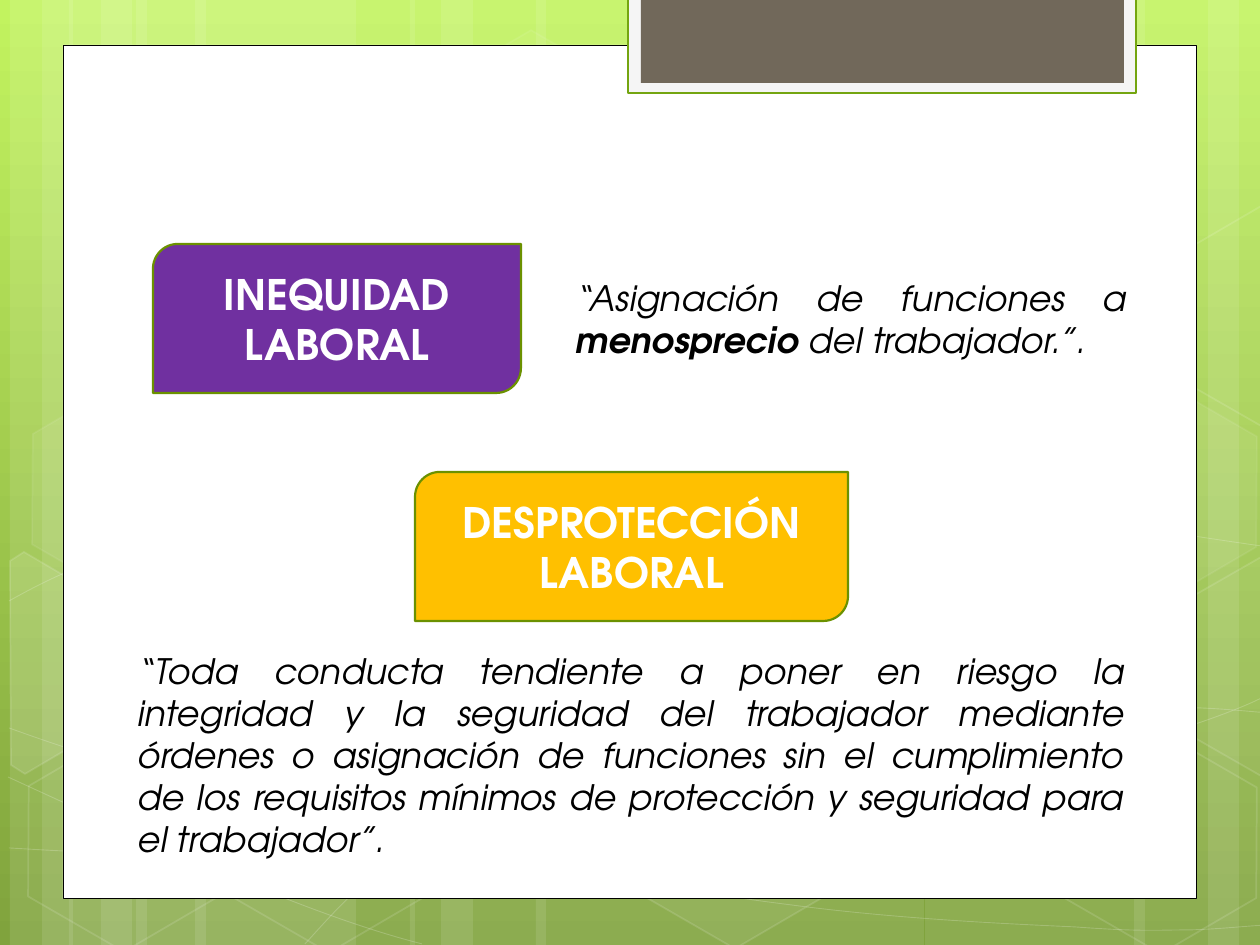
import pptx
import pptx.dml.color
import pptx.enum.shapes
import pptx.enum.text
import pptx.oxml.ns
import pptx.util
from lxml import etree

PX = 7257  # EMU in one px, at 126 px to the inch
FONT = "TeX Gyre Adventor"
SHAPE = pptx.enum.shapes.MSO_SHAPE
ALIGN = pptx.enum.text.PP_ALIGN
ANCHOR = pptx.enum.text.MSO_ANCHOR


def paint(shape, fill=None, line=None, width=1, fill_alpha=100, line_alpha=100):
    """Set fill and line from hex colours, with opacity in percent."""
    shape.shadow.inherit = False
    for target, colour in ((shape.fill, fill), (shape.line.fill, line)):
        if colour:
            target.solid()
            target.fore_color.rgb = pptx.dml.color.RGBColor.from_string(colour)
        else:
            target.background()
    if line:
        shape.line.width = pptx.util.Pt(width)
    properties = shape.element.spPr
    for route, alpha in (("a:solidFill/a:srgbClr", fill_alpha),
                         ("a:ln/a:solidFill/a:srgbClr", line_alpha)):
        if alpha < 100:
            for colour in properties.xpath(route):
                etree.SubElement(colour, pptx.oxml.ns.qn("a:alpha"), val=str(alpha * 1000))


def write(shape, *texts, size, colour, align, anchor=ANCHOR.TOP, italic=False, bold=()):
    """Write one paragraph; bold holds the positions of the bold runs."""
    frame = shape.text_frame
    frame.word_wrap = True
    frame.vertical_anchor = anchor
    paragraph = frame.paragraphs[0]
    paragraph.alignment = align
    for position, text in enumerate(texts):
        run = paragraph.add_run()
        run.text = text
        run.font.name = FONT
        run.font.size = pptx.util.Pt(size)
        run.font.italic = italic
        run.font.bold = position in bold
        run.font.color.rgb = pptx.dml.color.RGBColor.from_string(colour)


presentation = pptx.Presentation()
presentation.slide_width = pptx.util.Inches(10)
presentation.slide_height = pptx.util.Inches(7.5)
slide = presentation.slides.add_slide(presentation.slide_layouts[6])
shapes = slide.shapes

# Green gradient background, light at the top
background = slide.background.fill
background.gradient()
background.gradient_angle = 270
for stop, colour in zip(background.gradient_stops, ("C2F35F", "80A33D")):
    stop.color.rgb = pptx.dml.color.RGBColor.from_string(colour)

# Translucent vertical bands: left, width
bands = [(136, 220), (10, 63), (42, 105), (195, 220), (69, 63), (101, 105),
         (925, 220), (1208, 63), (1134, 105), (536, 388), (410, 63), (441, 105)]
for left, width in bands:
    band = shapes.add_shape(SHAPE.RECTANGLE, left * PX, 0, width * PX, 945 * PX)
    band.rotation = 180 if left > 900 else 0
    paint(band, "FFFFFF", fill_alpha=10)

# Thin curves: start point, then control, control, end for each Bezier piece
curves = [
    [(9, 848), (77, 852), (145, 856), (239, 854), (334, 853), (451, 851), (577, 838),
     (703, 825), (882, 801), (998, 777), (1113, 753), (1231, 716), (1269, 694)],
    [(9, 601), (45, 581), (82, 562), (152, 543), (224, 524), (326, 496), (437, 488),
     (549, 479), (685, 478), (824, 488), (963, 498), (1193, 537), (1269, 547)],
    [(8, 777), (160, 847), (311, 916), (422, 944)],
    [(9, 728), (48, 742), (88, 756), (161, 776), (234, 795), (344, 827), (450, 848),
     (554, 869), (687, 892), (791, 905), (896, 919), (1008, 924), (1075, 927),
     (1142, 932), (1158, 930), (1191, 930), (1223, 929), (1246, 926), (1269, 925)],
    [(305, 944), (328, 919), (350, 893), (381, 871), (411, 847), (454, 823), (489, 805),
     (524, 788), (546, 780), (591, 767), (638, 755), (722, 737), (766, 728),
     (811, 719), (818, 719), (857, 717), (896, 713), (958, 709), (1000, 708),
     (1045, 707), (1116, 708), (1116, 708), (1144, 708), (1173, 708), (1201, 708),
     (1223, 709), (1245, 711), (1256, 712), (1268, 713), (1264, 712), (1268, 713)],
]
for points in curves:
    builder = shapes.build_freeform(*points[0], scale=PX)
    builder.add_line_segments(points[1:], close=False)
    curve = builder.convert_to_shape()
    # Each three straight segments become one Bezier piece
    segments = curve.element.spPr.xpath(".//a:lnTo")
    for first in range(0, len(segments), 3):
        piece = etree.Element(pptx.oxml.ns.qn("a:cubicBezTo"))
        segments[first].addprevious(piece)
        for segment in segments[first:first + 3]:
            piece.append(segment[0])
            segment.getparent().remove(segment)
    paint(curve, line="FFFFFF", width=0.5, line_alpha=20)

# Whole hexagons: left, top, fill opacity (0 for none), line opacity
hexagons = [(421, 45, 4, 8), (625, 742, 6, 12), (14, 745, 0, 12), (18, 393, 7, 8),
            (219, 746, 0, 12), (949, 571, 10, 12), (1051, 747, 0, 12), (1051, 396, 7, 8)]
for left, top, fill_alpha, line_alpha in hexagons:
    hexagon = shapes.add_shape(SHAPE.HEXAGON, left * PX, top * PX, 220 * PX, 192 * PX)
    hexagon.adjustments[0] = 0.285
    hexagon.rotation = 30
    paint(hexagon, "FFFFFF" if fill_alpha else None, "FFFFFF",
          fill_alpha=fill_alpha, line_alpha=line_alpha)

# Hexagons cut by the slide edges: fill opacity, corners
cut_hexagons = [
    (10, [(10, 561), (24, 552), (121, 609), (120, 718), (25, 774), (11, 765)]),
    (4, [(1167, 611), (1263, 556), (1271, 562), (1271, 772), (1263, 777), (1167, 722)]),
    (0, [(1167, 261), (1263, 205), (1273, 212), (1271, 422), (1263, 427), (1167, 372)]),
]
for fill_alpha, corners in cut_hexagons:
    builder = shapes.build_freeform(*corners[0], scale=PX)
    builder.add_line_segments(corners[1:], close=True)
    paint(builder.convert_to_shape(), "FFFFFF" if fill_alpha else None, "FFFFFF",
          fill_alpha=fill_alpha, line_alpha=12)

# White page and the tab at its top
panels = [(63, 45, 1134, 854, "FFFFFF", "000000", 0.5),
          (628, -3, 508, 96, "F5F5F5", "74A510", 1.25),
          (641, -3, 483, 86, "71685A", None, 0)]
for left, top, width, height, fill, line, line_width in panels:
    panel = shapes.add_shape(SHAPE.RECTANGLE, left * PX, top * PX, width * PX, height * PX)
    paint(panel, fill, line, line_width)

# Concept badges
badges = [("INEQUIDAD LABORAL", 153, 244, 368, "7030A0"),
          ("DESPROTECCIÓN LABORAL", 415, 472, 433, "FFC000")]
for text, left, top, width, fill in badges:
    badge = shapes.add_shape(SHAPE.ROUND_2_DIAG_RECTANGLE, left * PX, top * PX, width * PX, 149 * PX)
    paint(badge, fill, "6B9100", 1.25)
    write(badge, text, size=24, colour="FFFFFF", align=ALIGN.CENTER,
          anchor=ANCHOR.MIDDLE, bold=(0,))

# Definitions; the second run, where there is one, is bold
definitions = [
    (563, 270, 576, 97, ("“Asignación de funciones a ", "menosprecio", " del trabajador.”.")),
    (125, 643, 1012, 181, (
        "“Toda conducta tendiente a poner en riesgo la integridad y la seguridad del "
        "trabajador mediante órdenes o asignación de funciones sin el cumplimiento de los "
        "requisitos mínimos de protección y seguridad para el trabajador”.",)),
]
for left, top, width, height, texts in definitions:
    box = shapes.add_textbox(left * PX, top * PX, width * PX, height * PX)
    write(box, *texts, size=20, colour="000000", align=ALIGN.JUSTIFY, italic=True, bold=(1,))

presentation.save("out.pptx")
